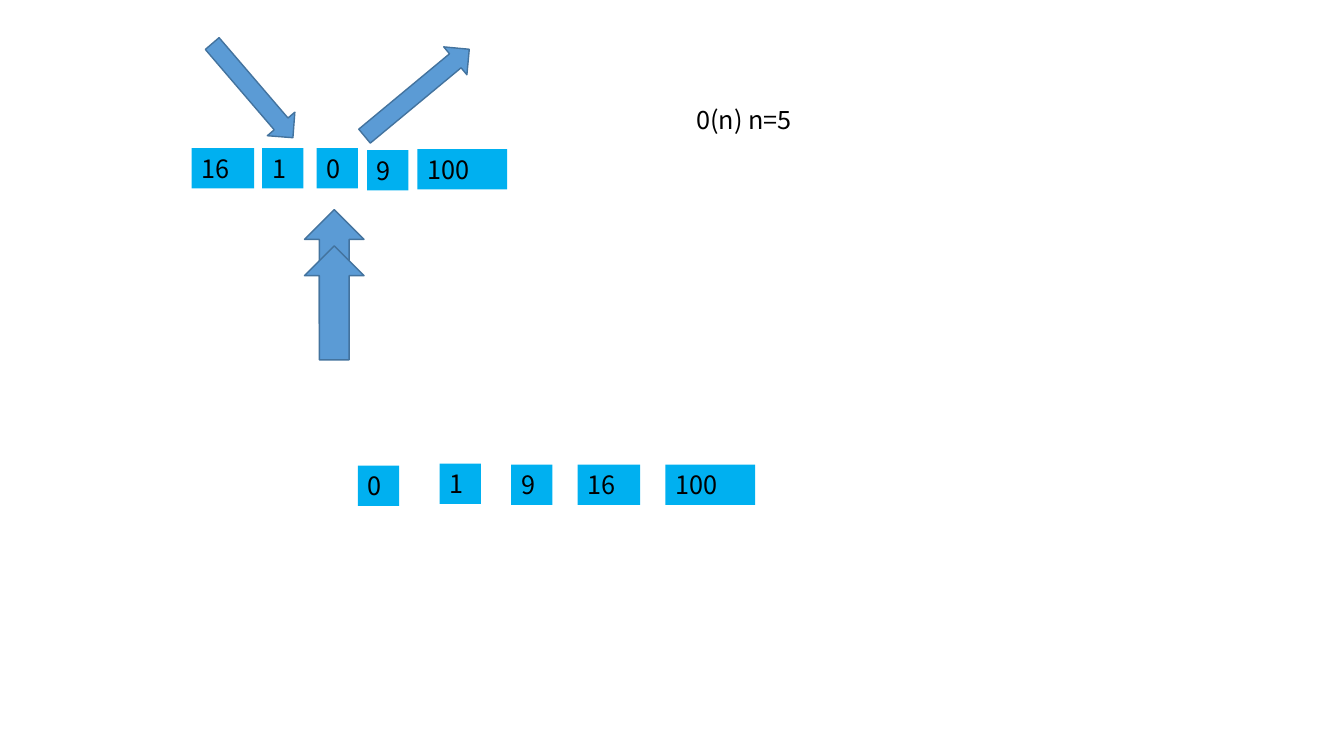
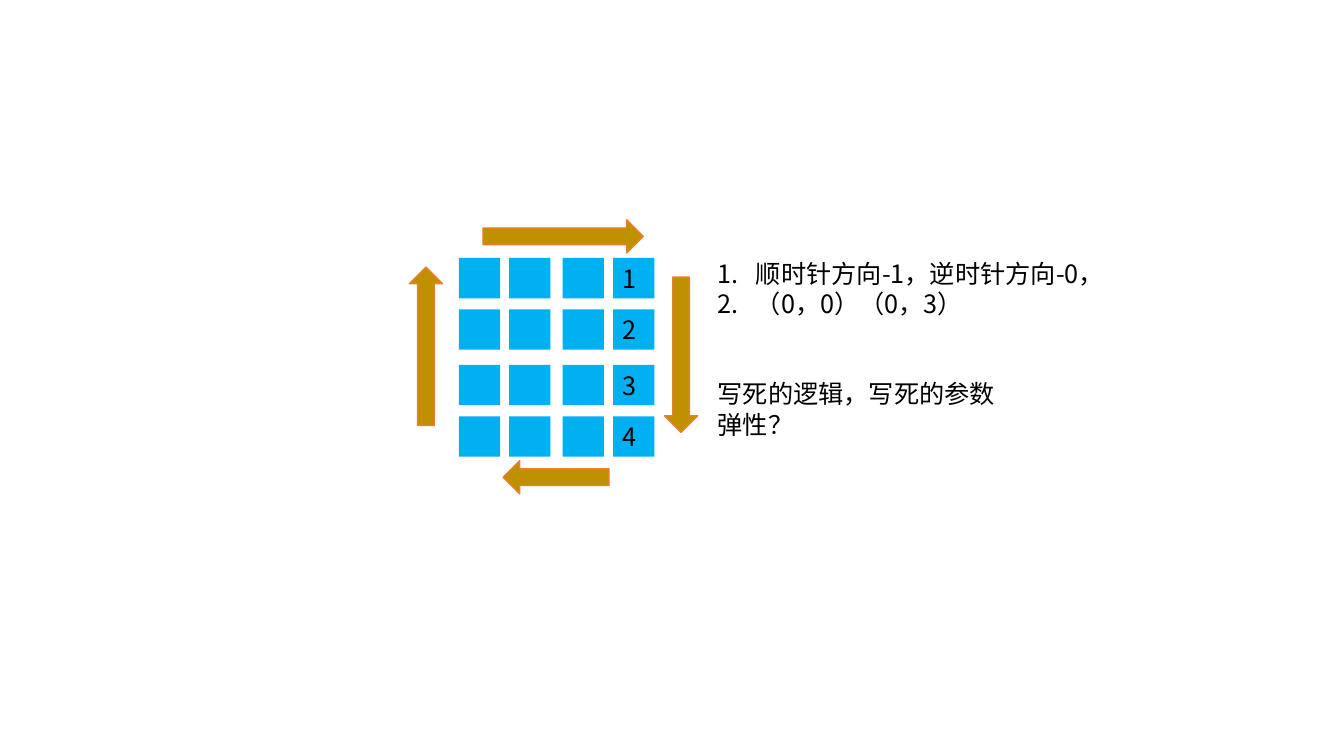
from dataclasses import dataclass

from lxml import etree
from pptx import Presentation
from pptx.dml.color import RGBColor as RGB
from pptx.enum.lang import MSO_LANGUAGE_ID as LANG
from pptx.enum.shapes import MSO_SHAPE as SHAPE
from pptx.enum.text import MSO_ANCHOR as ANCHOR, PP_ALIGN as ALIGN
from pptx.oxml.ns import qn
from pptx.util import Pt

PX = 9144  # 100 px to the inch


@dataclass(frozen=True)
class Theme:
    font: str = "Noto Sans CJK SC"
    size: int = 18
    text: RGB = RGB(0x00, 0x00, 0x00)
    cell: RGB = RGB(0x00, 0xB0, 0xF0)
    pointer: RGB = RGB(0x5B, 0x9B, 0xD5)
    pointer_line: RGB = RGB(0x43, 0x73, 0x9E)
    turn: RGB = RGB(0xBF, 0x90, 0x00)
    turn_line: RGB = RGB(0xED, 0x7D, 0x31)
    line_width: int = 1


THEME = Theme()
CELL_H = 40
CELL_W = {1: 41, 2: 62, 3: 89}  # width by number of digits


def emu(*lengths):
    return [round(n * PX) for n in lengths]


def write(p, text, size=THEME.size, color=THEME.text, before=0, numbered=False):
    """Fill one paragraph, with an automatic number if wanted."""
    if numbered:
        indent = 38 * PX
        ppr = p._p.get_or_add_pPr()
        ppr.set("marL", str(indent))
        ppr.set("indent", str(-indent))
        etree.SubElement(ppr, qn("a:buAutoNum"), type="arabicPeriod")
    p.alignment = ALIGN.LEFT
    if before:
        p.space_before = Pt(before)
    r = p.add_run()
    r.text = text
    f = r.font
    f.name, f.size, f.color.rgb = THEME.font, Pt(size), color
    f.language_id = LANG.SIMPLIFIED_CHINESE
    etree.SubElement(r._r.get_or_add_rPr(), qn("a:ea"), typeface=THEME.font)


def add_shape(slide, kind, box, fill, line=None, rotation=0):
    sp = slide.shapes.add_shape(kind, *emu(*box))
    sp.shadow.inherit = False
    sp.fill.solid()
    sp.fill.fore_color.rgb = fill
    if line is None:
        sp.line.fill.background()
    else:
        sp.line.color.rgb = line
        sp.line.width = Pt(THEME.line_width)
    sp.rotation = rotation
    return sp


def add_cell(slide, x, y, text=""):
    sp = add_shape(slide, SHAPE.RECTANGLE,
                   (x, y, CELL_W[len(text) or 1], CELL_H), THEME.cell)
    if text:
        tf = sp.text_frame
        tf.word_wrap = True
        tf.vertical_anchor = ANCHOR.TOP
        write(tf.paragraphs[0], text)


def add_text(slide, box, lines):
    tf = slide.shapes.add_textbox(*emu(*box)).text_frame
    tf.word_wrap = True
    for i, (text, options) in enumerate(lines):
        p = tf.add_paragraph() if i else tf.paragraphs[0]
        write(p, text, **options)


def add_number_row(slide, left, top, numbers):
    """Place cells given as (number, x offset, y offset)."""
    for number, dx, dy in numbers:
        add_cell(slide, left + dx, top + dy, str(number))


def add_pointers(slide, left, top):
    """Arrows into and out of the row, and two from below."""
    for kind, dx, dy, w, h, rotation in (
        (SHAPE.RIGHT_ARROW, 0, 0, 123, 36, 49.4),
        (SHAPE.RIGHT_ARROW, 157, 2, 135, 36, 320.3),
        (SHAPE.UP_ARROW, 113, 136, 59, 113, 0),
        (SHAPE.UP_ARROW, 113, 172, 59, 113, 0),
    ):
        add_shape(slide, kind, (left + dx, top + dy, w, h),
                  THEME.pointer, THEME.pointer_line, rotation)


def add_grid(slide, left, top):
    """4 x 4 cells in pairs, the last column numbered."""
    for row in range(4):
        y = top + row // 2 * 106 + row % 2 * 51
        for col in range(4):
            x = left + col // 2 * 103 + col % 2 * 50
            add_cell(slide, x, y, str(row + 1) if col == 3 else "")


def add_turn_arrows(slide, left, top):
    """Clockwise arrows around a grid with the given corner."""
    thick = 33
    for kind, dx, dy, w, h in (
        (SHAPE.RIGHT_ARROW, 24, -38, 159, thick),
        (SHAPE.DOWN_ARROW, 204, 19, thick, 154),
        (SHAPE.LEFT_ARROW, 44, 201, 105, thick),
        (SHAPE.UP_ARROW, -49, 9, thick, 157),
    ):
        add_shape(slide, kind, (left + dx, top + dy, w, h),
                  THEME.turn, THEME.turn_line)


def build_sorting(slide):
    # Unsorted row with its pointers
    add_number_row(slide, 190, 147, [
        (16, 0, 0), (1, 70, 0), (0, 124, 0), (9, 174, 2), (100, 224, 1)])
    add_pointers(slide, 189, 72)
    # Sorted row
    add_number_row(slide, 355, 460, [
        (0, 0, 2), (1, 81, 0), (9, 152, 1), (16, 218, 1), (100, 305, 1)])
    # Complexity
    add_text(slide, (681, 99, 214, 40), [("0(n) n=5", {})])


def build_rotation(slide):
    left, top = 455, 256
    add_grid(slide, left, top)
    add_turn_arrows(slide, left, top)
    # Notes on the rule
    add_text(slide, (702, 251, 413, 192), [
        ("顺时针方向-1，逆时针方向-0，", {"numbered": True}),
        ("（0，0）（0，3）", {"numbered": True}),
        ("写死的逻辑，写死的参数", {"before": 43}),
        ("弹性？", {}),
    ])


def main():
    prs = Presentation()
    prs.slide_width, prs.slide_height = emu(1333, 750)
    for build in (build_sorting, build_rotation):
        build(prs.slides.add_slide(prs.slide_layouts[6]))
    prs.save("out.pptx")


if __name__ == "__main__":
    main()
